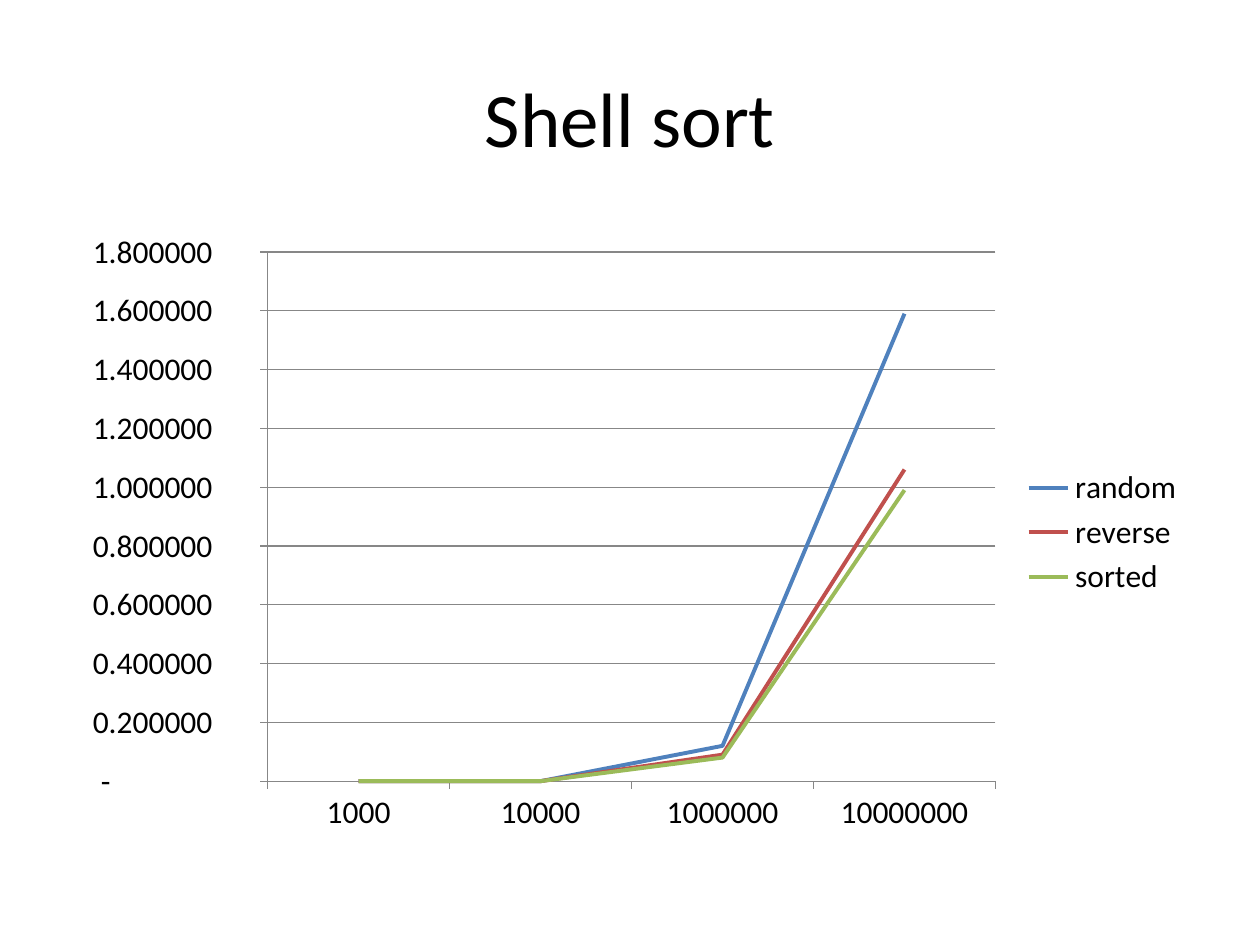
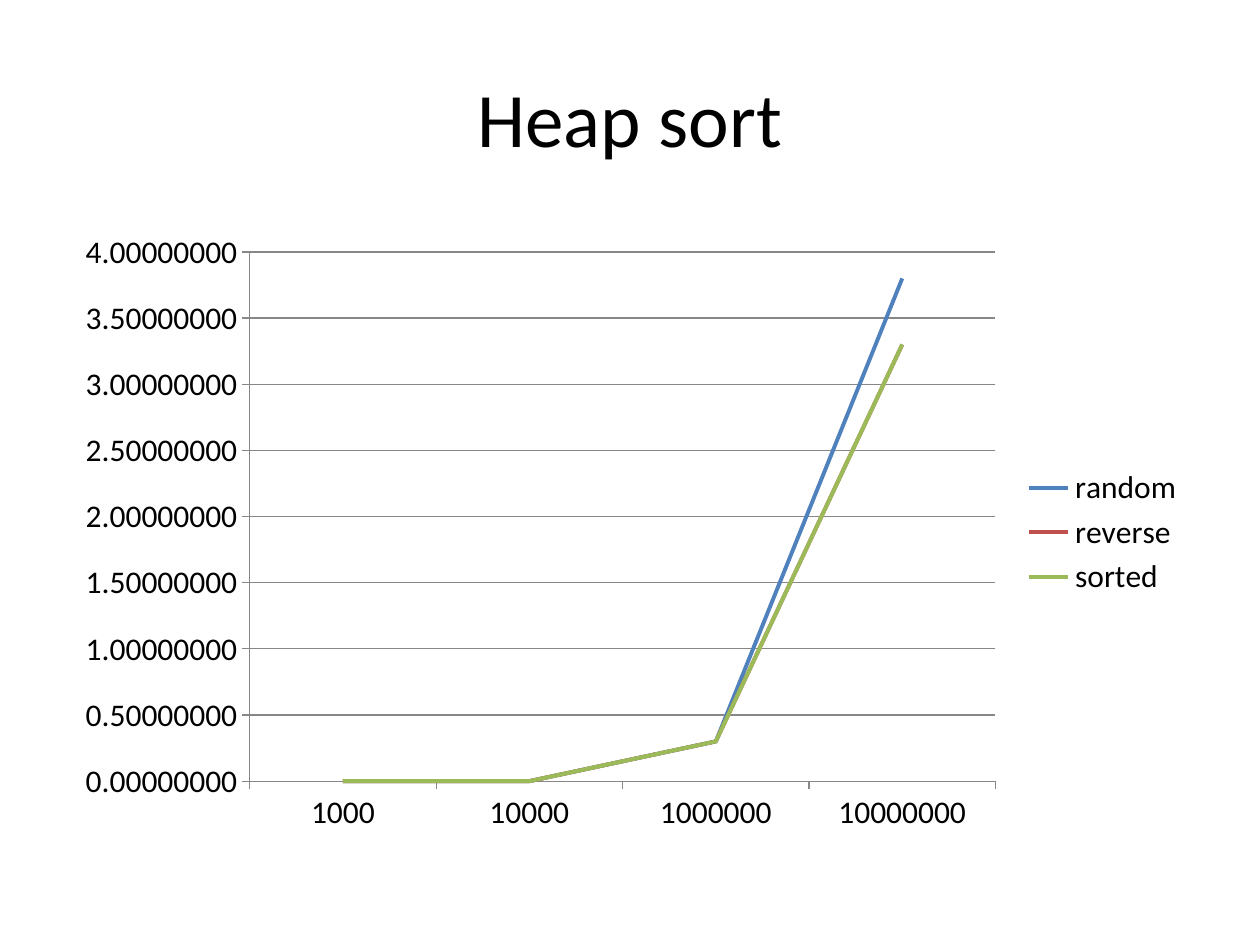
from pptx import Presentation
from pptx import util as u
from pptx.chart import data
from pptx.dml import color
from pptx.enum import chart as ch, text

Pt = u.Pt

# Content
SIZES = ["1000", "10000", "1000000", "10000000"]
SLIDES = [
    {"title": "Shell sort", "top": 1.8, "step": 0.2,
     "fmt": r'_-* #,##0.000000\ _l_e_i_-;\-* #,##0.000000\ _l_e_i_-;'
            r'_-* "-"??????\ _l_e_i_-;_-@_-',
     "times": {"random": (0, 0, 0.12, 1.59),
               "reverse": (0, 0, 0.09, 1.06),
               "sorted": (0, 0, 0.08, 0.99)}},
    {"title": "Heap sort", "top": 4, "step": 0.5, "fmt": "0.00000000",
     "times": {"random": (0, 0, 0.3, 3.8),
               "reverse": (0, 0, 0.3, 3.3),
               "sorted": (0, 0, 0.3, 3.3)}},
]

# Theme and places (left, top, width, height in points)
THEME = {"font": "Calibri", "ink": "000000", "grid": "878787",
         "lines": ("4F81BD", "C0504D", "9BBB59"),
         "title": 44, "label": 18, "thick": 2.25, "thin": 0.75}
PAGE = (720, 540)
HEAD = (36, 21.6, 648, 90)
PLOT = (36, 126, 648, 356.4)


def rgb(name):
    return color.RGBColor.from_string(name)


def style(font, size):
    font.name, font.size = THEME["font"], Pt(size)
    font.color.rgb = rgb(THEME["ink"])


def stroke(line, tone, width):
    line.color.rgb = rgb(tone)
    line.width = Pt(width)


def add_title(slide, words):
    box = slide.shapes.title
    box.left, box.top, box.width, box.height = map(Pt, HEAD)
    frame = box.text_frame
    frame.vertical_anchor = text.MSO_ANCHOR.MIDDLE
    para = frame.paragraphs[0]
    para.alignment = text.PP_ALIGN.CENTER
    run = para.add_run()
    run.text = words
    style(run.font, THEME["title"])


def add_plot(slide, item):
    table = data.CategoryChartData()
    table.categories = SIZES
    for name, times in item["times"].items():
        table.add_series(name, times)
    chart = slide.shapes.add_chart(
        ch.XL_CHART_TYPE.LINE, *map(Pt, PLOT), table).chart
    chart.has_title = False
    style(chart.font, THEME["label"])

    # Legend
    chart.has_legend = True
    chart.legend.position = ch.XL_LEGEND_POSITION.RIGHT
    chart.legend.include_in_layout = False

    # Axes
    for axis in (chart.category_axis, chart.value_axis):
        axis.major_tick_mark = ch.XL_TICK_MARK.OUTSIDE
        axis.minor_tick_mark = ch.XL_TICK_MARK.NONE
        stroke(axis.format.line, THEME["grid"], THEME["thin"])
    axis = chart.value_axis
    axis.minimum_scale, axis.maximum_scale = 0, item["top"]
    axis.major_unit = item["step"]
    axis.has_major_gridlines = True
    stroke(axis.major_gridlines.format.line, THEME["grid"], THEME["thin"])
    axis.tick_labels.number_format = item["fmt"]
    axis.tick_labels.number_format_is_linked = False

    # Series
    chart.plots[0].vary_by_categories = False
    for line, tone in zip(chart.plots[0].series, THEME["lines"]):
        line.smooth = False
        line.marker.style = ch.XL_MARKER_STYLE.NONE
        stroke(line.format.line, tone, THEME["thick"])


# Build
deck = Presentation()
deck.slide_width, deck.slide_height = map(Pt, PAGE)
for item in SLIDES:
    slide = deck.slides.add_slide(deck.slide_layouts[5])
    add_title(slide, item["title"])
    add_plot(slide, item)
deck.save("out.pptx")
